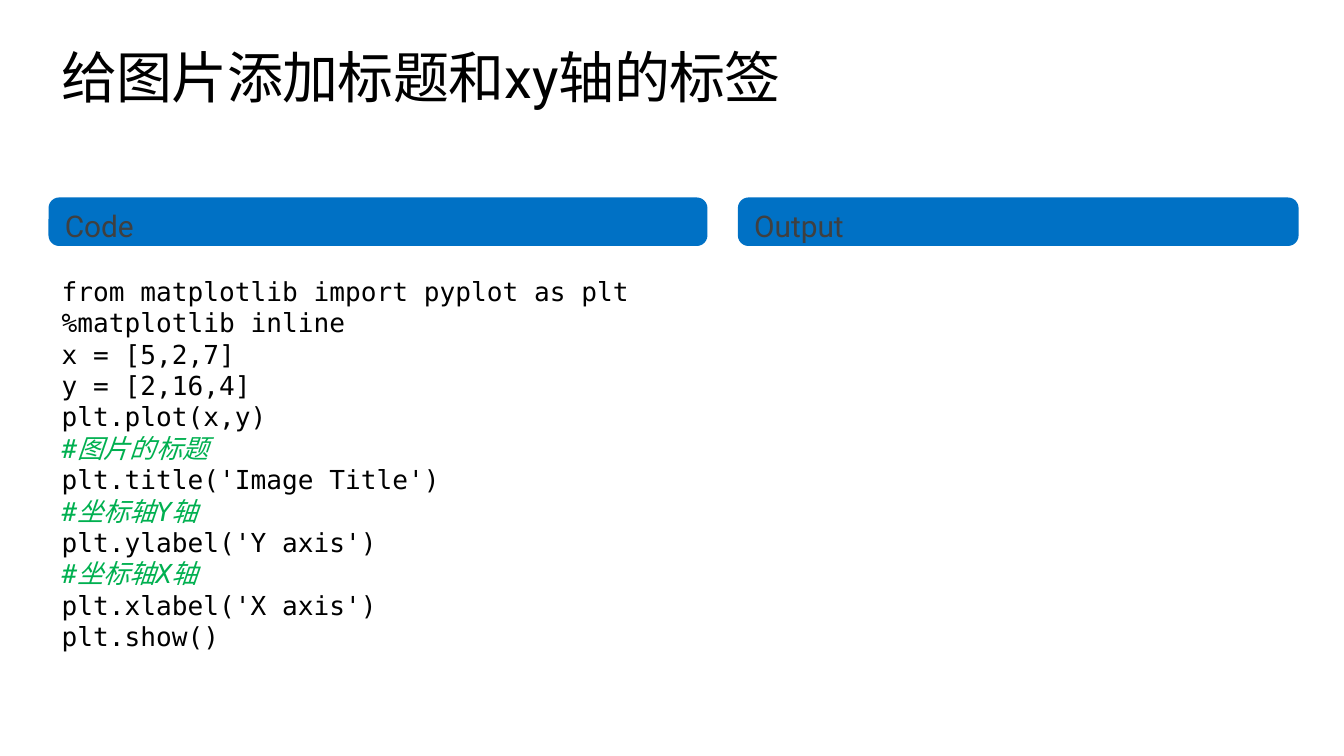
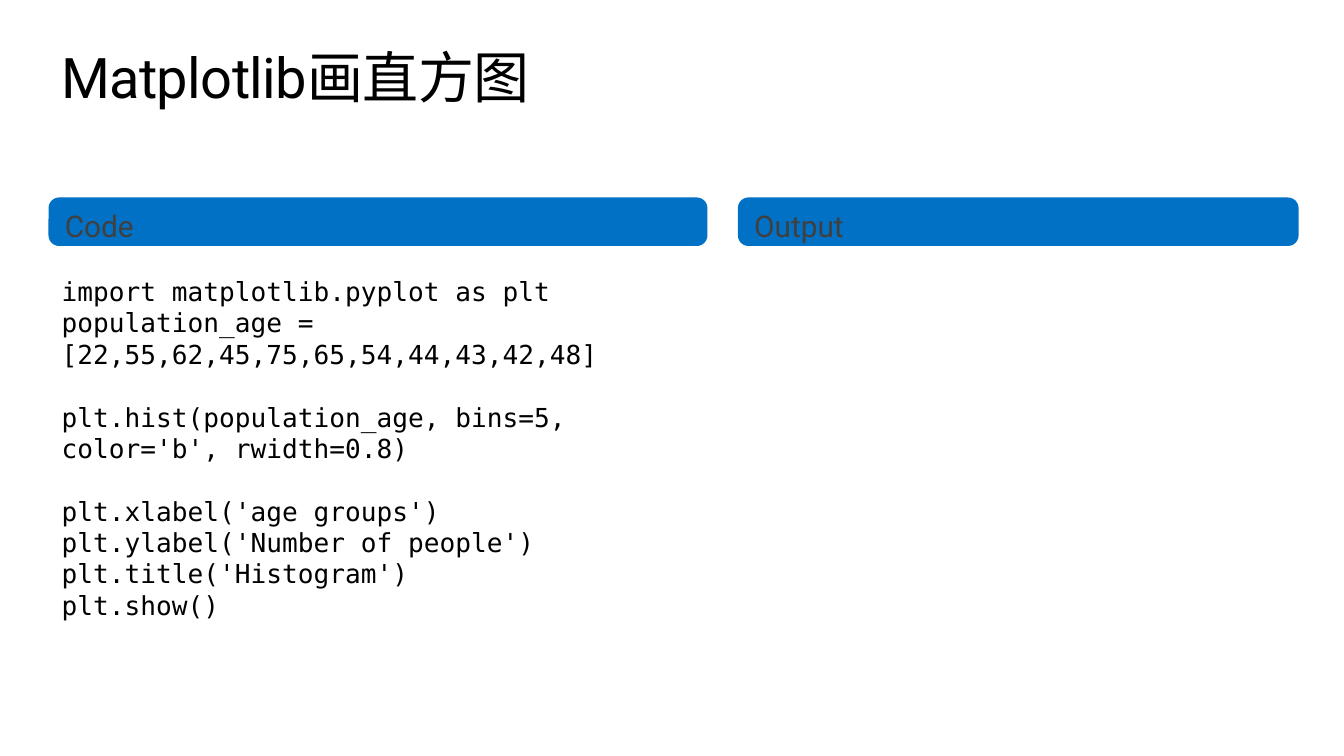
from dataclasses import dataclass

import pptx
import pptx.dml.color
import pptx.enum.shapes
import pptx.enum.text
import pptx.presentation
import pptx.slide
import pptx.util

Pt = pptx.util.Pt
RGBColor = pptx.dml.color.RGBColor

# Shared colours and fonts
BLACK = RGBColor(0x00, 0x00, 0x00)
WHITE = RGBColor(0xFF, 0xFF, 0xFF)
BAND_BLUE = RGBColor(0x00, 0x71, 0xC5)
BAND_TEXT = RGBColor(0x40, 0x40, 0x40)
COMMENT_GREEN = RGBColor(0x00, 0xB0, 0x50)
TEXT_FONT = "Roboto"
CODE_FONT = "DejaVu Sans Mono"

# Shared layout, in points
LEFT = 26
BAND_TOP, BAND_HEIGHT = 105.8, 26
CODE_TOP = 144
CODE_SIZE = 14
CODE_LINE = 16.8
TITLE_ONLY_LAYOUT = 5


@dataclass(frozen=True)
class Band:
    label: str
    left: float
    width: float


@dataclass(frozen=True)
class CodeSlide:
    title: str
    blocks: tuple[tuple[str, ...], ...]
    code_width: float
    code_height: float


BANDS = (Band("Code", LEFT, 353), Band("Output", 395.3, 300.4))

CODE_SLIDES = (
    CodeSlide(
        "给图片添加标题和xy轴的标签",
        (
            (
                "from matplotlib import pyplot as plt",
                "%matplotlib inline",
                "x = [5,2,7]",
                "y = [2,16,4]",
                "plt.plot(x,y)",
                "#图片的标题",
                "plt.title('Image Title')",
                "#坐标轴Y轴",
                "plt.ylabel('Y axis')",
                "#坐标轴X轴",
                "plt.xlabel('X axis')",
                "plt.show()",
            ),
        ),
        358.6,
        211,
    ),
    CodeSlide(
        "Matplotlib画直方图",
        (
            (
                "import matplotlib.pyplot as plt",
                "population_age = [22,55,62,45,75,65,54,44,43,42,48]",
            ),
            ("plt.hist(population_age, bins=5, color='b', rwidth=0.8)",),
            (
                "plt.xlabel('age groups')",
                "plt.ylabel('Number of people')",
                "plt.title('Histogram')",
                "plt.show()",
            ),
        ),
        355.7,
        193.7,
    ),
)


def set_title(slide: pptx.slide.Slide, text: str) -> None:
    title = slide.shapes.title
    title.left, title.top = Pt(31.7), Pt(23)
    title.width, title.height = Pt(664.6), Pt(36)
    frame = title.text_frame
    frame.text = text
    frame.auto_size = pptx.enum.text.MSO_AUTO_SIZE.SHAPE_TO_FIT_TEXT
    frame.vertical_anchor = pptx.enum.text.MSO_ANCHOR.TOP
    frame.margin_left = Pt(1)
    frame.margin_top = frame.margin_right = frame.margin_bottom = 0
    paragraph = frame.paragraphs[0]
    paragraph.alignment = pptx.enum.text.PP_ALIGN.LEFT
    paragraph.font.name = TEXT_FONT
    paragraph.font.size = Pt(30)
    paragraph.font.color.rgb = BLACK
    # Slightly tightened letter spacing, in hundredths of a point
    paragraph.runs[0].font._element.set("spc", "-30")


def add_band(slide: pptx.slide.Slide, band: Band) -> None:
    shape = slide.shapes.add_shape(
        pptx.enum.shapes.MSO_SHAPE.ROUNDED_RECTANGLE,
        Pt(band.left), Pt(BAND_TOP), Pt(band.width), Pt(BAND_HEIGHT),
    )
    shape.adjustments[0] = 0.22
    shape.shadow.inherit = False
    shape.fill.solid()
    shape.fill.fore_color.rgb = BAND_BLUE
    shape.line.fill.background()
    frame = shape.text_frame
    frame.text = band.label
    frame.vertical_anchor = pptx.enum.text.MSO_ANCHOR.TOP
    paragraph = frame.paragraphs[0]
    paragraph.alignment = pptx.enum.text.PP_ALIGN.LEFT
    paragraph.font.name = TEXT_FONT
    paragraph.font.size = Pt(16)
    paragraph.font.color.rgb = BAND_TEXT


def add_code(slide: pptx.slide.Slide, content: CodeSlide) -> None:
    box = slide.shapes.add_textbox(
        Pt(LEFT), Pt(CODE_TOP), Pt(content.code_width), Pt(content.code_height)
    )
    frame = box.text_frame
    frame.word_wrap = True
    frame.auto_size = pptx.enum.text.MSO_AUTO_SIZE.SHAPE_TO_FIT_TEXT
    paragraph = frame.paragraphs[0]
    for block_index, block in enumerate(content.blocks):
        for line_index, line in enumerate(block):
            if block_index or line_index:
                paragraph = frame.add_paragraph()
            # One line of space separates the blocks
            if block_index and not line_index:
                paragraph.space_before = Pt(CODE_LINE)
            is_comment = line.startswith("#")
            paragraph.text = line
            paragraph.font.name = CODE_FONT
            paragraph.font.size = Pt(CODE_SIZE)
            paragraph.font.italic = is_comment
            paragraph.font.color.rgb = COMMENT_GREEN if is_comment else BLACK


def add_code_slide(
    presentation: pptx.presentation.Presentation, content: CodeSlide
) -> None:
    slide = presentation.slides.add_slide(
        presentation.slide_layouts[TITLE_ONLY_LAYOUT]
    )
    set_title(slide, content.title)
    for band in BANDS:
        add_band(slide, band)
    add_code(slide, content)


def main() -> None:
    presentation = pptx.Presentation()
    presentation.slide_width, presentation.slide_height = Pt(720), Pt(405)
    # White background for every slide
    background = presentation.slide_master.background.fill
    background.solid()
    background.fore_color.rgb = WHITE
    for content in CODE_SLIDES:
        add_code_slide(presentation, content)
    presentation.save("out.pptx")


if __name__ == "__main__":
    main()
